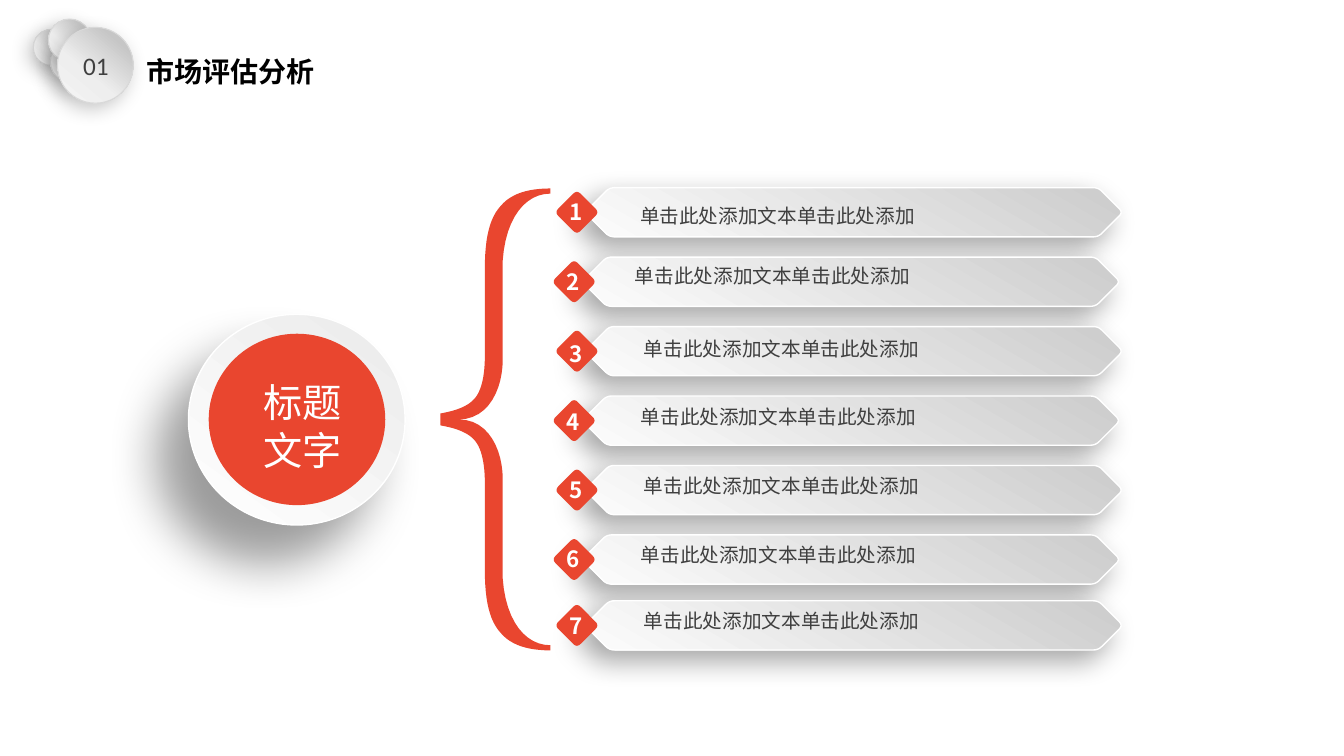
"""Build a market assessment slide: a red hub, a brace and seven numbered bars."""
from pptx import Presentation
from pptx.enum.shapes import MSO_SHAPE
from pptx.enum.text import MSO_ANCHOR, PP_ALIGN
from pptx.dml.color import RGBColor
from pptx.oxml import parse_xml
from pptx.oxml.ns import nsdecls, qn
from pptx.util import Cm, Pt
from lxml.etree import SubElement

COLORS = {"red": "E9462F", "white": "FFFFFF", "black": "000000",
          "edge": "D9D9D9", "number": "404040", "label": "3F3F3F"}
SANS = "Noto Sans CJK SC"
BADGE_GRAD = ([(0, "BFBFBF"), (18, "C6C6C6"), (61, "EEEEEE"), (100, "F5F5F5")], 130)
BAR_GRAD = ([(0, "CCCCCC"), (100, "FCFCFC")], 120)
HUB_GRAD = ([(0, "EBEBEB"), (100, "FEFEFE")], 126)
BADGE_SHADOW, BAR_SHADOW, HUB_SHADOW = (22, 14, 5, 130), (34, 20, 10, 136), (38, 36, 35, 130)

BADGES = [(0.84, 0.74, 0.91), (1.27, 1.02, 1.07), (1.22, 0.48, 1.07), (1.45, 0.69, 1.91)]
LABEL = "单击此处添加文本单击此处添加"
ROWS = [
    (14.54, 5.00, 16.13, 5.13, 11.25),
    (14.47, 6.76, 16.00, 6.65, 11.46),
    (14.54, 8.56, 16.23, 8.48, 11.15),
    (14.47, 10.29, 16.15, 10.21, 11.63),
    (14.54, 12.01, 16.23, 11.94, 11.56),
    (14.47, 13.74, 16.15, 13.67, 10.82),
    (14.54, 15.42, 16.23, 15.34, 11.56),
]
FIRST_ROW, ROW_PITCH, LAST_ROW = 5.35, 1.75, 15.76
BAR_W, BAR_HALF, DIAMOND_HALF, CORNER = 13.56, 0.62, 0.56, 0.13

BRACE_X, BRACE_Y = 11.1, 10.57
BRACE_OUTER = [
    [(2.77, -5.82), (2.21, -5.82), (1.78, -5.69), (1.52, -5.38)],
    [(1.52, -5.38), (1.24, -5.08), (1.12, -4.57), (1.12, -3.81)],
    [(1.12, -1.6), (1.12, -1.12), (1.04, -0.76), (0.89, -0.56)],
    [(0.89, -0.56), (0.74, -0.36), (0.46, -0.23), (0, -0.15)],
]
BRACE_INNER = [
    [(2.77, -5.69), (2.16, -5.69), (1.65, -5.11), (1.57, -4.01)],
    [(1.57, -1.5), (1.57, -0.81), (1.24, 0), (0.46, 0)],
]


def bezier(ctrl, steps):
    pts = []
    for k in range(steps + 1):
        t, level = k / steps, ctrl
        while len(level) > 1:
            level = [(a + (c - a) * t, b + (d - b) * t)
                     for (a, b), (c, d) in zip(level, level[1:])]
        pts.append(level[0])
    return pts


def rounded(corners):
    pts = []
    for i, (x, y) in enumerate(corners):
        ends = []
        for nx, ny in (corners[i - 1], corners[(i + 1) % len(corners)]):
            f = CORNER / ((nx - x) ** 2 + (ny - y) ** 2) ** 0.5
            ends.append((x + (nx - x) * f, y + (ny - y) * f))
        pts += bezier([ends[0], (x, y), ends[1]], 6)
    return pts


def paint(sp, fill, line=None, shadow=None, width=1):
    sp.shadow.inherit = False
    pr = sp._element.spPr
    if isinstance(fill, str):
        sp.fill.solid()
        sp.fill.fore_color.rgb = RGBColor.from_string(COLORS[fill])
    else:
        stops, angle = fill
        gs = "".join(f'<a:gs pos="{pos * 1000}"><a:srgbClr val="{c}"/></a:gs>' for pos, c in stops)
        sp.fill.background()
        pr.replace(pr.find(qn("a:noFill")), parse_xml(
            f'<a:gradFill {nsdecls("a")} rotWithShape="1"><a:gsLst>{gs}</a:gsLst>'
            f'<a:lin ang="{angle * 60000}" scaled="0"/></a:gradFill>'))
    if line:
        sp.line.color.rgb = RGBColor.from_string(COLORS[line])
        sp.line.width = Pt(width)
    else:
        sp.line.fill.background()
    if shadow:
        alpha, blur, dist, angle = shadow
        pr.find(qn("a:effectLst")).append(parse_xml(
            f'<a:outerShdw {nsdecls("a")} blurRad="{Pt(blur)}" dist="{Pt(dist)}" '
            f'dir="{angle * 60000}" algn="ctr" rotWithShape="0"><a:srgbClr val="{COLORS["black"]}">'
            f'<a:alpha val="{alpha * 1000}"/></a:srgbClr></a:outerShdw>'))


def outline(s, pts, *style):
    pts = [(Cm(x), Cm(y)) for x, y in pts]
    fb = s.shapes.build_freeform(*pts[0])
    fb.add_line_segments(pts[1:], close=True)
    paint(fb.convert_to_shape(), *style)


def ellipse(s, box, *style):
    paint(s.shapes.add_shape(MSO_SHAPE.OVAL, *map(Cm, box)), *style)


def text(s, box, words, size, color, font=SANS, bold=False, center=False, wrap=True, inset=True):
    tf = s.shapes.add_textbox(*map(Cm, box)).text_frame
    tf.word_wrap, tf.vertical_anchor = wrap, MSO_ANCHOR.TOP
    if not inset:
        tf.margin_left = tf.margin_right = tf.margin_top = tf.margin_bottom = 0
    p = tf.paragraphs[0]
    p.text = words
    p.alignment = PP_ALIGN.CENTER if center else PP_ALIGN.LEFT
    f = p.font
    f.size, f.bold, f.name = Pt(size), bold, font
    f.color.rgb = RGBColor.from_string(COLORS[color])
    SubElement(f._element, qn("a:ea")).set("typeface", font)


def main():
    prs = Presentation()
    prs.slide_width, prs.slide_height = Cm(33.87), Cm(19.05)
    s = prs.slides.add_slide(prs.slide_layouts[6])

    for x, y, d in BADGES:
        ellipse(s, (x, y, d, d), BADGE_GRAD, "edge", BADGE_SHADOW, 0.75)
    text(s, (1.83, 1.14, 1.17, 1.02), "01", 18, "number", "Calibri", center=True, wrap=False)
    text(s, (3.35, 1.24, 4.93, 1.12), "市场评估分析", 20, "black", "Noto Sans CJK JP", True, True)

    centers = [min(FIRST_ROW + ROW_PITCH * i, LAST_ROW) for i in range(len(ROWS))]
    for (cx, *_), cy in zip(ROWS, centers):
        x, h = cx + 0.2, BAR_HALF
        right = x + BAR_W
        outline(s, rounded([(x, cy), (x + h, cy - h), (right - h, cy - h),
                            (right, cy), (right - h, cy + h), (x + h, cy + h)]),
                BAR_GRAD, "white", BAR_SHADOW)

    outer = [pt for c in BRACE_OUTER for pt in bezier(c, 12)]
    inner = [pt for c in BRACE_INNER for pt in bezier(c, 12)]
    lower = [(x, -y) for x, y in outer[::-1] + inner]
    outline(s, [(BRACE_X + x, BRACE_Y + y) for x, y in outer + lower + inner[::-1]], "red")

    for i, ((cx, num_y, x, y, w), cy) in enumerate(zip(ROWS, centers), 1):
        h = DIAMOND_HALF
        outline(s, rounded([(cx, cy - h), (cx + h, cy), (cx, cy + h), (cx - h, cy)]), "red")
        text(s, (cx - 0.19, num_y, 0.36, 0.69), str(i), 16, "white", bold=True,
             wrap=False, inset=False)
        text(s, (x, y, w, 0.61), LABEL, 14, "label", inset=False)

    ellipse(s, (4.75, 7.92, 5.46, 5.31), HUB_GRAD, "white", HUB_SHADOW)
    ellipse(s, (5.26, 8.41, 4.45, 4.32), "red")
    text(s, (6.4, 9.42, 2.79, 2.64), "标题文字", 28, "white")
    prs.save("out.pptx")


if __name__ == "__main__":
    main()
